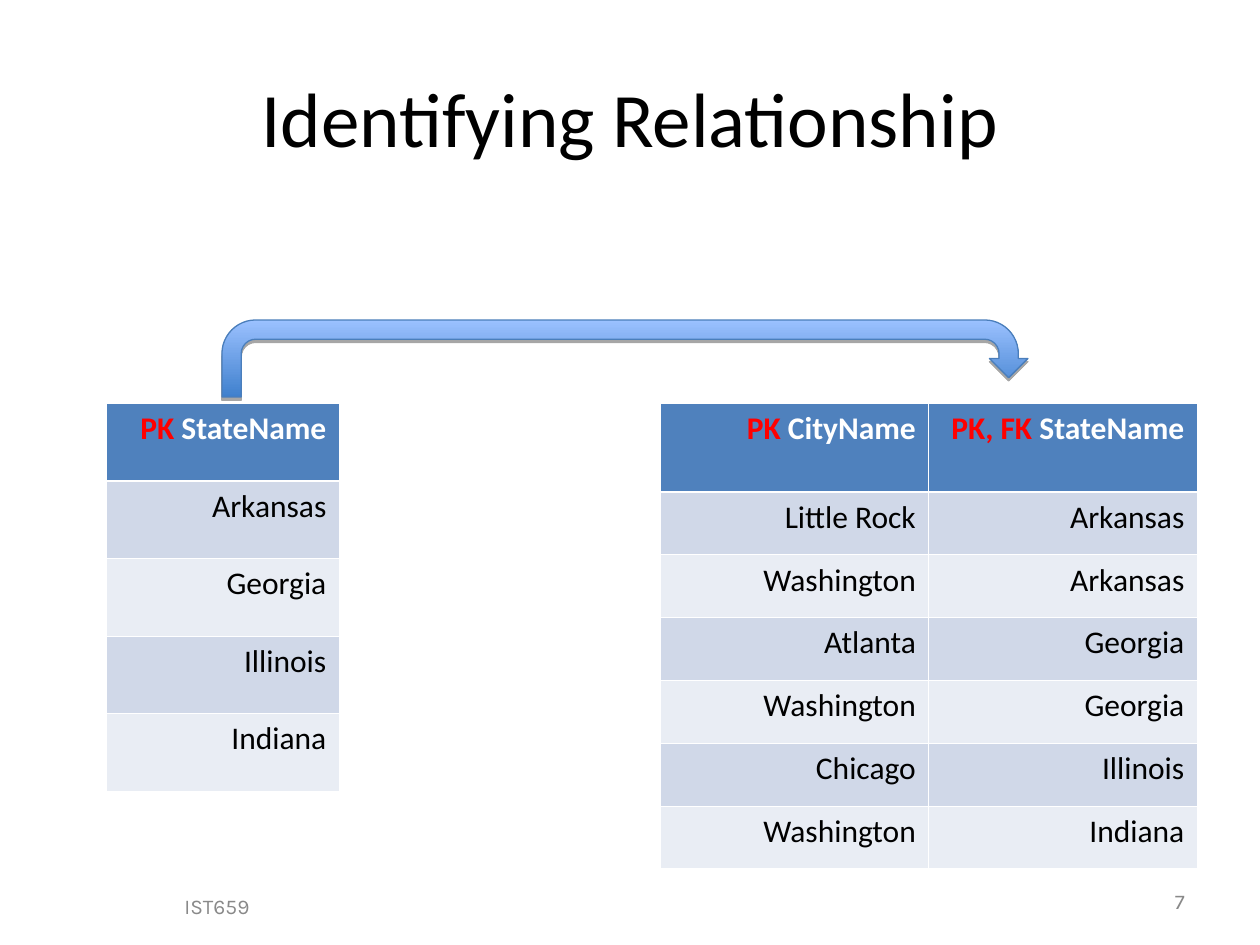
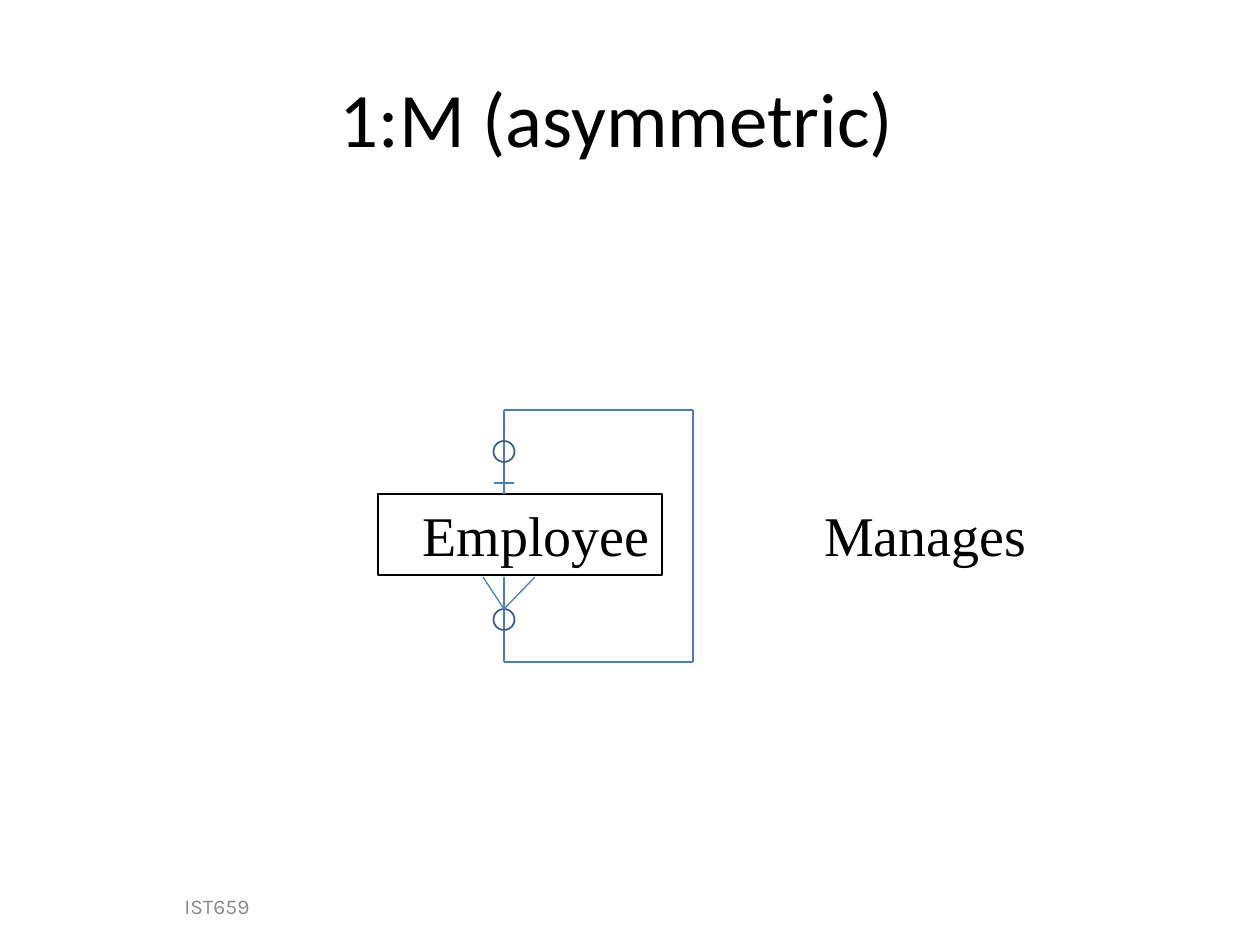
import pptx
import pptx.dml.color
import pptx.enum.shapes
import pptx.enum.text
import pptx.util
from lxml import etree
from pptx.oxml.ns import qn

SHAPE = pptx.enum.shapes.MSO_SHAPE
ALIGN = pptx.enum.text.PP_ALIGN
ANCHOR = pptx.enum.text.MSO_ANCHOR
Pt = pptx.util.Pt

# Shared look
PX = 914400 / 126
BLACK, WHITE, RED, GREY = "000000", "FFFFFF", "FF0000", "898989"
HEADER, BANDS = "4F81BD", ("D0D8E8", "E9EDF4")
LINE, RING = "4A7EBB", "385D8A"
ARROW_TOP, ARROW_BOTTOM = "9BC1FF", "3F80CD"
TITLE_FONT, FOOTER_FONT, DIAGRAM_FONT = "Calibri", "Karla", "Times New Roman"

# Content
FOOTER = "IST659 "
FOOTER_BOX, NUMBER_BOX = (20, 881, 399, 50), (903, 876, 294, 50)

KEYS_TITLE = ("Identifying Relationship", (63, 38, 1134, 158))
KEYS_NUMBER = "7"
KEY_ARROW = (222, 320, 806, 77)
# Header cells are (key mark, column name)
CITIES = {
    "box": (660, 403, 537, 466), "header_height": 89,
    "header": [("PK", " CityName"), ("PK, FK ", "StateName")],
    "rows": [("Little Rock", "Arkansas"), ("Washington", "Arkansas"),
             ("Atlanta", "Georgia"), ("Washington", "Georgia"),
             ("Chicago", "Illinois"), ("Washington", "Indiana")],
}
STATES = {
    "box": (106, 403, 233, 388), "header_height": 78,
    "header": [("PK", " StateName")],
    "rows": [("Arkansas",), ("Georgia",), ("Illinois",), ("Indiana",)],
}

LOOP_TITLE = ("1:M (asymmetric)", (37, 38, 1160, 158))
ENTITY = ("Employee", (378, 494, 284, 81))
RELATION = ("Manages", (714, 494, 325, 81))
LOOP_LEFT, LOOP_RIGHT, LOOP_TOP, LOOP_BOTTOM = 504, 693, 410, 662
ENTITY_TOP, ENTITY_BOTTOM = 494, 577
RING_SIZE, RING_TOPS = 21, (441, 609)
CROW_TIP, CROW_TOES = 609, (535, 483)
TICK_Y, TICK_HALF = 483, 10


def emu(*lengths):
    return [round(n * PX) for n in lengths]


def rgb(color):
    return pptx.dml.color.RGBColor.from_string(color)


def set_font(font, size, name, color, bold=False):
    font.size, font.name, font.bold = Pt(size), name, bold
    font.color.rgb = rgb(color)


def write(sp, text, size, name, color, align, anchor=ANCHOR.MIDDLE):
    tf = sp.text_frame
    tf.word_wrap, tf.vertical_anchor = True, anchor
    p = tf.paragraphs[0]
    p.text, p.alignment = text, align
    set_font(p.font, size, name, color)


def add_text(slide, text, box, *style):
    sp = slide.shapes.add_textbox(*emu(*box))
    write(sp, text, *style)


def add_shape(slide, kind, box, line, width):
    sp = slide.shapes.add_shape(kind, *emu(*box))
    sp.shadow.inherit = False
    sp.fill.background()
    sp.line.color.rgb, sp.line.width = rgb(line), Pt(width)
    return sp


def add_line(slide, *ends):
    line = slide.shapes.add_connector(
        pptx.enum.shapes.MSO_CONNECTOR.STRAIGHT, *emu(*ends))
    line.line.color.rgb, line.line.width = rgb(LINE), Pt(0.75)
    etree.SubElement(line._element.spPr, qn("a:effectLst"))


def add_slide(prs, title):
    slide = prs.slides.add_slide(prs.slide_layouts[6])
    add_text(slide, FOOTER, FOOTER_BOX, 12, FOOTER_FONT, GREY, ALIGN.CENTER)
    add_text(slide, *title, 44, TITLE_FONT, BLACK, ALIGN.CENTER)
    return slide


def set_borders(cell, widths):
    tc_pr = cell._tc.get_or_add_tcPr()
    for i, (side, width) in enumerate(widths.items()):
        ln = etree.Element(qn("a:" + side), w=str(Pt(width)))
        fill = etree.SubElement(ln, qn("a:solidFill"))
        etree.SubElement(fill, qn("a:srgbClr"), val=WHITE)
        tc_pr.insert(i, ln)


def add_table(slide, data):
    header, rows = data["header"], data["rows"]
    left, top, width, height = data["box"]
    table = slide.shapes.add_table(len(rows) + 1, len(header),
                                   *emu(left, top, width, height)).table
    for column in table.columns:
        column.width = emu(width / len(header))[0]
    body_height = (height - data["header_height"]) / len(rows)
    # Header cells hold two runs, body cells one
    for i, values in enumerate([header] + [[(v,) for v in row] for row in rows]):
        table.rows[i].height = emu(body_height if i else data["header_height"])[0]
        for j, parts in enumerate(values):
            cell = table.cell(i, j)
            cell.fill.solid()
            cell.fill.fore_color.rgb = rgb(BANDS[(i - 1) % 2] if i else HEADER)
            p = cell.text_frame.paragraphs[0]
            p.alignment = ALIGN.RIGHT
            for text, color in zip(parts, (BLACK,) if i else (RED, WHITE)):
                r = p.add_run()
                r.text = text
                set_font(r.font, 18, TITLE_FONT, color, bold=i == 0)
            set_borders(cell, {"lnL": 0.45, "lnR": 0.45,
                               "lnT": 1.47 if i == 1 else 0.45,
                               "lnB": 1.47 if i == 0 else 0.45})


def add_key_arrow(slide):
    sp = add_shape(slide, SHAPE.U_TURN_ARROW, KEY_ARROW, LINE, 0.75)
    sp.fill.gradient()
    sp.fill.gradient_angle = 270
    for stop, color in zip(sp.fill.gradient_stops, (ARROW_TOP, ARROW_BOTTOM)):
        stop.color.rgb = rgb(color)
    # Soft shadow straight below
    effects = sp._element.spPr.find(qn("a:effectLst"))
    shadow = etree.SubElement(effects, qn("a:outerShdw"), blurRad="0",
                              dist=str(Pt(1.8)), dir="5400000", rotWithShape="0")
    color = etree.SubElement(shadow, qn("a:srgbClr"), val=BLACK)
    etree.SubElement(color, qn("a:alpha"), val="35000")


def build_keys(prs):
    slide = add_slide(prs, KEYS_TITLE)
    add_text(slide, KEYS_NUMBER, NUMBER_BOX, 12, FOOTER_FONT, GREY, ALIGN.RIGHT)
    for data in (CITIES, STATES):
        add_table(slide, data)
    add_key_arrow(slide)


def build_loop(prs):
    slide = add_slide(prs, LOOP_TITLE)
    label = (32, DIAGRAM_FONT, BLACK, ALIGN.RIGHT, ANCHOR.TOP)
    text, box = ENTITY
    write(add_shape(slide, SHAPE.RECTANGLE, box, BLACK, 0.75), text, *label)
    add_text(slide, *RELATION, *label)

    # Loop from the entity's top round to its bottom
    for y, side in ((LOOP_TOP, ENTITY_TOP), (LOOP_BOTTOM, ENTITY_BOTTOM)):
        add_line(slide, LOOP_LEFT, y, LOOP_RIGHT, y)
        add_line(slide, LOOP_LEFT, y, LOOP_LEFT, side)
    add_line(slide, LOOP_RIGHT, LOOP_TOP, LOOP_RIGHT, LOOP_BOTTOM)

    # Cardinality marks
    for y in RING_TOPS:
        box = (LOOP_LEFT - RING_SIZE / 2, y, RING_SIZE, RING_SIZE)
        add_shape(slide, SHAPE.OVAL, box, RING, 1)
    for x in CROW_TOES:
        add_line(slide, LOOP_LEFT, CROW_TIP, x, ENTITY_BOTTOM)
    add_line(slide, LOOP_LEFT - TICK_HALF, TICK_Y, LOOP_LEFT + TICK_HALF, TICK_Y)


def main():
    prs = pptx.Presentation()
    prs.slide_width, prs.slide_height = emu(1260, 945)
    build_keys(prs)
    build_loop(prs)
    prs.save("out.pptx")


if __name__ == "__main__":
    main()
